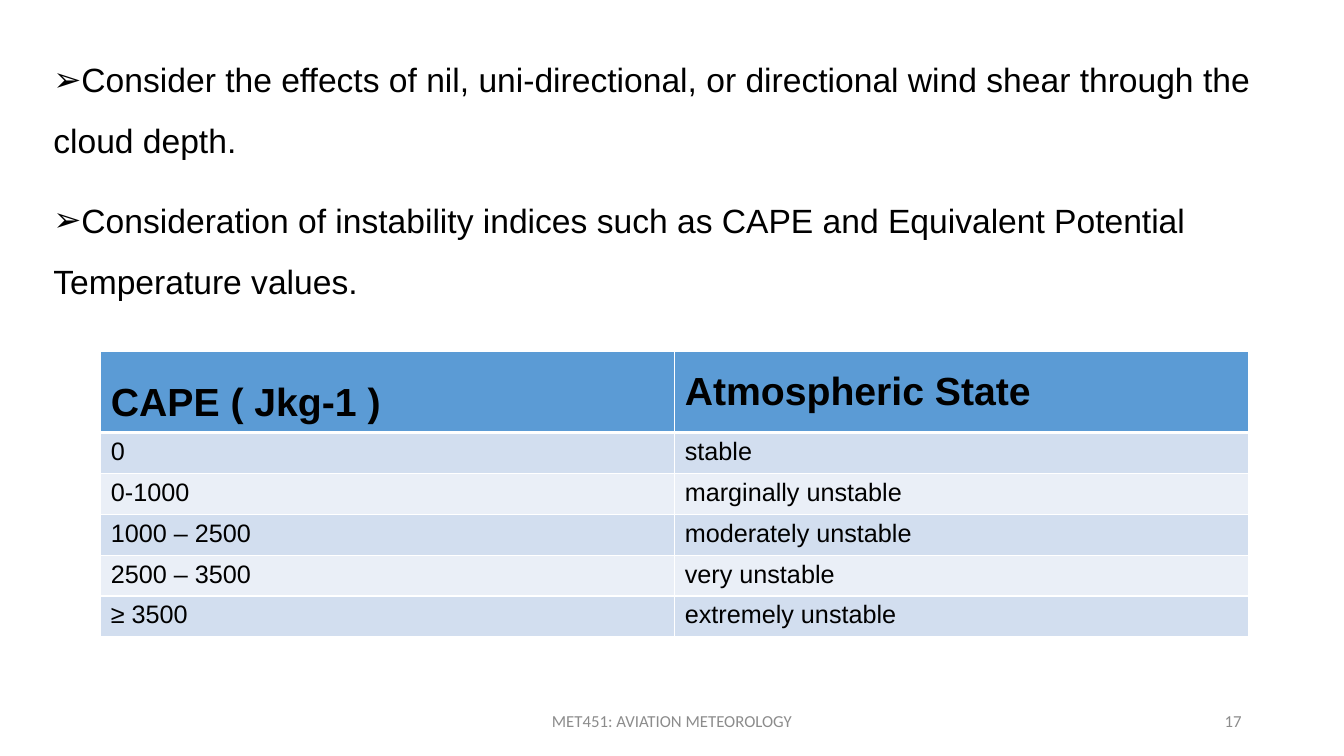
from lxml import etree
from pptx import Presentation
from pptx import util as u
from pptx.dml.color import RGBColor
from pptx.enum import text
from pptx.oxml import ns

BLACK = "000000"
GREY = "8C8C8C"
WHITE = "FFFFFF"
HEADER_BLUE = "5B9BD5"
BANDS = ("D2DEEF", "EAEFF7")


def color(value):
    return RGBColor.from_string(value)


def write(paragraph, words, font, **layout):
    run = paragraph.add_run()
    run.text = words
    run.font.color.rgb = color(font.pop("color"))
    for name, value in font.items():
        setattr(run.font, name, value)
    for name, value in layout.items():
        setattr(paragraph, name, value)


presentation = Presentation()
presentation.slide_width, presentation.slide_height = u.Pt(960), u.Pt(540)
slide = presentation.slides.add_slide(presentation.slide_layouts[6])

# Footer and slide number
for words, left, width, alignment in (
    ("MET451: AVIATION METEOROLOGY", 318, 324, text.PP_ALIGN.CENTER),
    ("17", 678, 216, text.PP_ALIGN.RIGHT),
):
    footer = slide.shapes.add_textbox(u.Pt(left), u.Pt(500.5), u.Pt(width), u.Pt(28.75))
    footer.text_frame.word_wrap = True
    footer.text_frame.vertical_anchor = text.MSO_ANCHOR.MIDDLE
    write(footer.text_frame.paragraphs[0], words,
          {"name": "Calibri", "size": u.Pt(12), "color": GREY}, alignment=alignment)

# Table of instability classes
rows = (
    ("CAPE ( Jkg-1 )", "Atmospheric State"),
    ("0", "stable"),
    ("0-1000", "marginally unstable"),
    ("1000 – 2500", "moderately unstable"),
    ("2500 – 3500", "very unstable"),
    ("≥ 3500", "extremely unstable"),
)
table = slide.shapes.add_table(len(rows), 2, u.Pt(72), u.Pt(251.25), u.Pt(820), u.Pt(202.5)).table
for row_index, row in enumerate(rows):
    header = row_index == 0
    table.rows[row_index].height = u.Pt(56.5 if header else 29.2)
    for column_index, words in enumerate(row):
        cell = table.cell(row_index, column_index)
        cell.fill.solid()
        cell.fill.fore_color.rgb = color(HEADER_BLUE if header else BANDS[(row_index - 1) % 2])
        if header:
            cell.vertical_anchor = text.MSO_ANCHOR.MIDDLE
        paragraph = cell.text_frame.paragraphs[0]
        write(paragraph, words, {"name": "Arial", "size": u.Pt(28 if header else 18),
                                 "bold": header, "color": BLACK})
        if header and column_index == 0:
            paragraph.alignment = text.PP_ALIGN.JUSTIFY
            paragraph.line_spacing = 1.5
        # White cell borders, thicker around the header's lower edge
        properties = cell._tc.get_or_add_tcPr()
        weights = {"lnL": 1, "lnR": 1, "lnT": 3 if row_index == 1 else 1, "lnB": 3 if header else 1}
        for position, (side, weight) in enumerate(weights.items()):
            line = etree.Element(ns.qn(f"a:{side}"), w=str(u.Pt(weight)))
            fill = etree.SubElement(line, ns.qn("a:solidFill"))
            etree.SubElement(fill, ns.qn("a:srgbClr"), val=WHITE)
            properties.insert(position, line)

# Bulleted considerations
considerations = slide.shapes.add_textbox(u.Pt(31), u.Pt(24.5), u.Pt(913.5), u.Pt(196.5))
frame = considerations.text_frame
frame.word_wrap = True
for index, words in enumerate((
    "Consider the effects of nil, uni-directional, or directional wind shear through the cloud depth.",
    "Consideration of instability indices such as CAPE and Equivalent Potential Temperature values.",
)):
    paragraph = frame.add_paragraph() if index else frame.paragraphs[0]
    write(paragraph, words, {"name": "Arial", "size": u.Pt(24), "color": BLACK},
          line_spacing=1.5, space_before=u.Pt(14 if index else 0))
    properties = paragraph._p.get_or_add_pPr()
    bullet_color = etree.SubElement(properties, ns.qn("a:buClr"))
    etree.SubElement(bullet_color, ns.qn("a:srgbClr"), val=BLACK)
    etree.SubElement(properties, ns.qn("a:buFont"), typeface="Arial")
    etree.SubElement(properties, ns.qn("a:buChar"), char="➢")

presentation.save("out.pptx")
